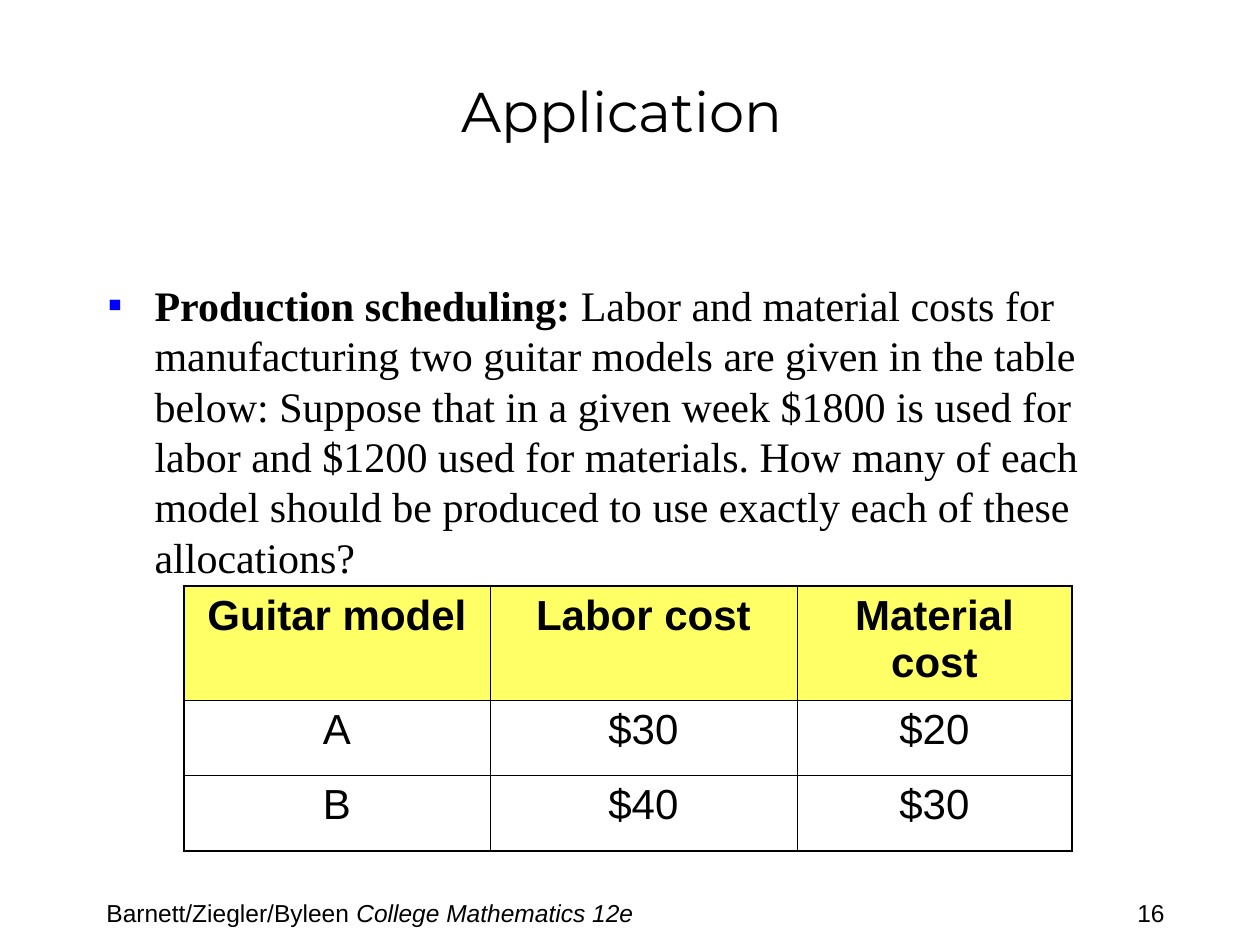
from lxml.etree import SubElement
from pptx import Presentation
from pptx.dml.color import RGBColor
from pptx.enum.text import MSO_ANCHOR, PP_ALIGN
from pptx.oxml.ns import qn
from pptx.util import Pt

SCALE = 914400 / 126
SANS = {"name": "Arial", "size": Pt(24)}
SERIF = {"name": "Times New Roman", "size": Pt(24)}
SMALL = {"name": "Arial", "size": Pt(14)}
HEAD = {"name": "Montserrat", "size": Pt(32)}

COSTS = [
    ("Guitar model", "Labor cost", "Material cost"),
    ("A", "$30", "$20"),
    ("B", "$40", "$30"),
]


def px(n):
    return round(n * SCALE)


def color(code):
    return RGBColor.from_string(code)


def put(obj, vals):
    for key, val in vals.items():
        setattr(obj, key, val)


def place(shape, left, top, width, height):
    put(shape, {"left": px(left), "top": px(top),
                "width": px(width), "height": px(height)})


def write(para, text, font, **more):
    run = para.add_run()
    run.text = text
    put(run.font, {**font, **more})
    run.font.color.rgb = color("000000")


def add_title(slide, text):
    title = slide.shapes.title
    place(title, 94, 32, 1071, 157)
    title.text_frame.vertical_anchor = MSO_ANCHOR.MIDDLE
    para = title.text_frame.paragraphs[0]
    para.alignment = PP_ALIGN.CENTER
    write(para, text, HEAD)


def add_bullet(para):
    props = para._p.get_or_add_pPr()
    dent = {"marL": px(47), "indent": -px(47)}
    for key, val in dent.items():
        props.set(key, str(val))
    tint = SubElement(props, qn("a:buClr"))
    SubElement(tint, qn("a:srgbClr"), val="0000FF")
    SubElement(props, qn("a:buFont"), typeface="Arial")
    SubElement(props, qn("a:buChar"), char="▪")


def add_body(slide, lead, rest):
    body = slide.placeholders[1]
    place(body, 95, 273, 1071, 567)
    para = body.text_frame.paragraphs[0]
    add_bullet(para)
    para.space_before = Pt(0)
    write(para, lead, SERIF, bold=True)
    write(para, rest, SERIF)


def add_edge(cell, side, width):
    line = SubElement(cell._tc.get_or_add_tcPr(), qn(f"a:{side}"),
                      w=str(Pt(width)))
    fill = SubElement(line, qn("a:solidFill"))
    SubElement(fill, qn("a:srgbClr"), val="000000")


def add_costs(slide, rows):
    wide, tall = (306, 307, 275), (114, 75, 76)
    table = slide.shapes.add_table(
        len(rows), len(wide), px(184), px(586),
        px(sum(wide)), px(sum(tall))).table
    for col, size in zip(table.columns, wide):
        col.width = px(size)
    for row, size in zip(table.rows, tall):
        row.height = px(size)
    for r, row in enumerate(rows):
        for c, text in enumerate(row):
            cell = table.cell(r, c)
            # Outer edges are heavier than inner ones
            outer = {"lnL": c == 0, "lnR": c == len(wide) - 1,
                     "lnT": r == 0, "lnB": r == len(rows) - 1}
            for side, thick in outer.items():
                add_edge(cell, side, 1.08 if thick else 0.45)
            if r == 0:
                cell.fill.solid()
                cell.fill.fore_color.rgb = color("FFFF66")
            else:
                cell.fill.background()
            para = cell.text_frame.paragraphs[0]
            para.alignment = PP_ALIGN.CENTER
            write(para, text, SANS, bold=r == 0)


def add_note(slide, box, runs, wrap):
    note = slide.shapes.add_textbox(*map(px, box))
    note.text_frame.word_wrap = wrap
    for text, slant in runs:
        write(note.text_frame.paragraphs[0], text, SMALL, italic=slant)


def main():
    deck = Presentation()
    put(deck, {"slide_width": px(1260), "slide_height": px(945)})
    slide = deck.slides.add_slide(deck.slide_layouts[1])

    # Title and problem
    add_title(slide, "Application ")
    add_body(slide, "Production scheduling:",
             " Labor and material costs for manufacturing two guitar models "
             "are given in the table below: Suppose that in a given week "
             "$1800 is used for labor and $1200 used for materials. How many "
             "of each model should be produced to use exactly each of these "
             "allocations?")

    # Cost table
    add_costs(slide, COSTS)

    # Footer and page number
    add_note(slide, (94, 892, 735, 32),
             [("Barnett/Ziegler/Byleen ", False),
              ("College Mathematics 12e", True)], True)
    add_note(slide, (1125, 892, 137, 43), [("16", False)], False)

    deck.save("out.pptx")


if __name__ == "__main__":
    main()
